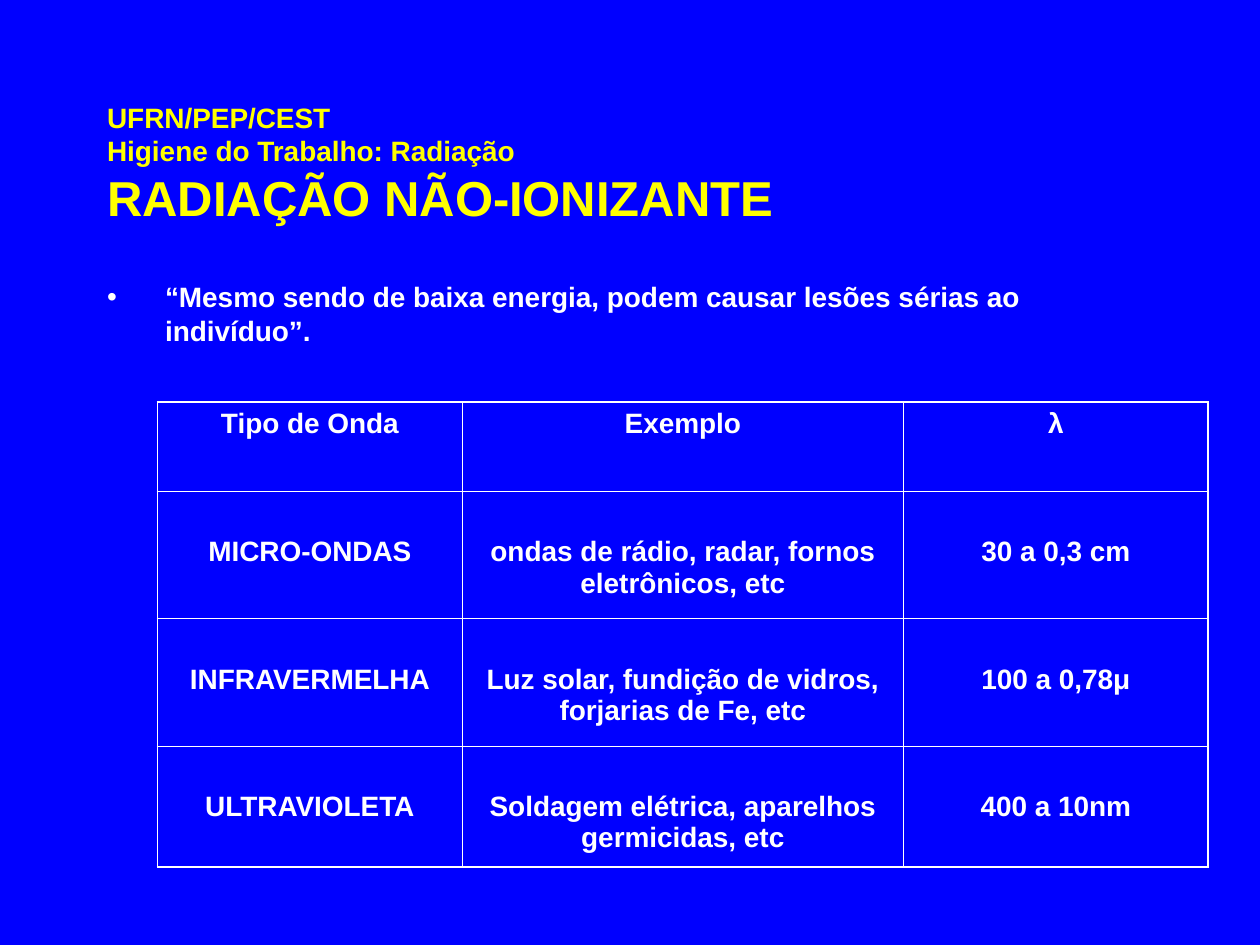
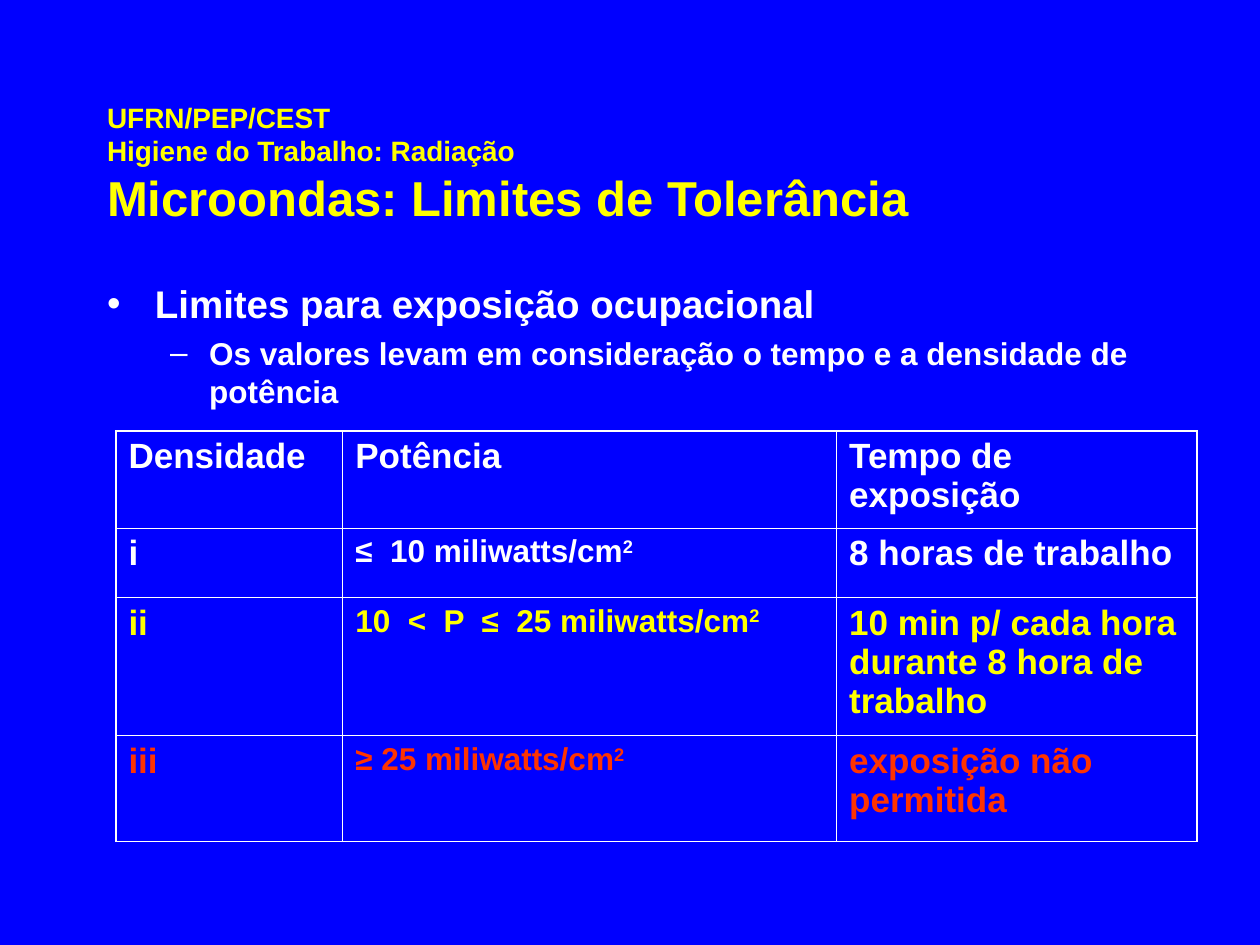
from lxml import etree
from pptx import Presentation
from pptx.dml.color import RGBColor
from pptx.enum.text import MSO_ANCHOR, MSO_AUTO_SIZE, PP_ALIGN
from pptx.oxml.ns import qn
from pptx.util import Inches, Pt

LEFT, CENTER = PP_ALIGN.LEFT, PP_ALIGN.CENTER
MIDDLE, TOP = MSO_ANCHOR.MIDDLE, MSO_ANCHOR.TOP
NO_AUTOFIT = MSO_AUTO_SIZE.NONE

COLORS = {"background": "0000FF", "title": "FFFF00", "text": "FFFFFF",
          "caution": "FFFF00", "forbidden": "FF3300"}
FONT = "Arial"
TITLE_BOX = (0.75, 0.67, 8.5, 1.25)
BODY_BOX = (0.75, 2.17, 8.5, 4.5)
COURSE_LINES = ["UFRN/PEP/CEST", "Higiene do Trabalho: Radiação"]
OUTER_LINE, INNER_LINE = 1.08, 0.45


def style_run(run, size, color):
    """Give a run the deck's bold font with a size and a colour."""
    run.font.name = FONT
    run.font.size = Pt(size)
    run.font.bold = True
    run.font.color.rgb = RGBColor.from_string(COLORS[color])


def place(shape, box):
    """Move a shape to a box given in inches."""
    shape.left, shape.top, shape.width, shape.height = map(Inches, box)


def prepare_template(presentation):
    """Set the shared background and placeholder boxes and return the layout."""
    fill = presentation.slide_master.background.fill
    fill.solid()
    fill.fore_color.rgb = RGBColor.from_string(COLORS["background"])
    layout = presentation.slide_layouts[1]
    for placeholder, box in zip(layout.placeholders, (TITLE_BOX, BODY_BOX)):
        place(placeholder, box)
    return layout


def fill_title(slide, heading):
    """Write the course lines and the slide heading in the title."""
    title = slide.shapes.title
    place(title, TITLE_BOX)
    frame = title.text_frame
    frame.auto_size = NO_AUTOFIT
    frame.vertical_anchor = MIDDLE
    frame.text = "\v".join(COURSE_LINES + [heading])
    paragraph = frame.paragraphs[0]
    paragraph.alignment = LEFT
    for line_break in paragraph._p.findall(qn("a:br")):
        etree.SubElement(line_break, qn("a:rPr"), sz="1600")
    for run in paragraph.runs:
        style_run(run, 28 if run.text == heading else 16, "title")


def set_bullet(paragraph, character, margin, hanging):
    """Add a white bullet with a hanging indent in inches."""
    properties = paragraph._p.get_or_add_pPr()
    properties.set("marL", str(Inches(margin)))
    properties.set("indent", str(-Inches(hanging)))
    color = etree.SubElement(properties, qn("a:buClr"))
    etree.SubElement(color, qn("a:srgbClr"), val=COLORS["text"])
    etree.SubElement(properties, qn("a:buFont"), typeface=FONT)
    etree.SubElement(properties, qn("a:buChar"), char=character)


def fill_body(slide, items):
    """Write bullet items of text, level, bullet, margin, hanging, size, space."""
    body = slide.placeholders[1]
    place(body, BODY_BOX)
    frame = body.text_frame
    frame.auto_size = NO_AUTOFIT
    frame.text = "\n".join(item[0] for item in items)
    for paragraph, item in zip(frame.paragraphs, items):
        _, level, bullet, margin, hanging, size, space = item
        paragraph.level = level
        set_bullet(paragraph, bullet, margin, hanging)
        paragraph.space_before = Pt(space)
        style_run(paragraph.runs[0], size, "text")


def set_borders(cell, widths):
    """Draw the left, right, top and bottom cell borders in points."""
    properties = cell._tc.get_or_add_tcPr()
    for position, (side, width) in enumerate(zip("LRTB", widths)):
        line = etree.Element(qn(f"a:ln{side}"), w=str(Pt(width)))
        fill = etree.SubElement(line, qn("a:solidFill"))
        etree.SubElement(fill, qn("a:srgbClr"), val=COLORS["text"])
        properties.insert(position, line)


def write_cell(cell, text, size, color, alignment, top_margin):
    """Write cell text, raising a final ² as superscript."""
    cell.margin_left = cell.margin_right = Inches(0.1)
    cell.margin_top, cell.margin_bottom = Inches(top_margin), Inches(0.05)
    cell.vertical_anchor = TOP
    cell.fill.background()
    base = text.removesuffix("²")
    cell.text_frame.text = base
    paragraph = cell.text_frame.paragraphs[0]
    paragraph.alignment = alignment
    if base != text:
        exponent = paragraph.add_run()
        exponent.text = "2"
        exponent._r.get_or_add_rPr().set("baseline", "30000")
    for run in paragraph.runs:
        style_run(run, size, color)


def add_grid(slide, origin, widths, heights, rows, style):
    """Add a ruled table; style gives the text settings of a row and column."""
    box = map(Inches, (*origin, sum(widths), sum(heights)))
    table = slide.shapes.add_table(len(rows), len(widths), *box).table
    table.first_row = table.horz_banding = False
    for column, width in zip(table.columns, widths):
        column.width = Inches(width)
    last_row, last_column = len(rows) - 1, len(widths) - 1
    for i, texts in enumerate(rows):
        table.rows[i].height = Inches(heights[i])
        for j, text in enumerate(texts):
            cell = table.cell(i, j)
            write_cell(cell, text, *style(i, j))
            edges = (j == 0, j == last_column, i == 0, i == last_row)
            set_borders(cell, [OUTER_LINE if edge else INNER_LINE for edge in edges])


def wave_style(row, column):
    """Centre the wave table and lower the text below its header."""
    return 16, "text", CENTER, 0.36 if row else 0.05


def limit_style(row, column):
    """Colour the limit rows by severity and shrink the power values."""
    color = ("text", "text", "caution", "forbidden")[row]
    return 18 if row and column == 1 else 20, color, LEFT, 0.05


def add_non_ionizing_slide(presentation, layout):
    """Build the slide on the kinds of non-ionizing radiation."""
    slide = presentation.slides.add_slide(layout)
    fill_title(slide, "RADIAÇÃO NÃO-IONIZANTE")
    fill_body(slide, [
        ("“Mesmo sendo de baixa energia, podem causar lesões sérias ao indivíduo”.",
         0, "•", 0.46, 0.46, 16, 0)])
    rows = [
        ("Tipo de Onda", "Exemplo", "λ"),
        ("MICRO-ONDAS", "ondas de rádio, radar, fornos eletrônicos, etc", "30 a 0,3 cm"),
        ("INFRAVERMELHA", "Luz solar, fundição de vidros, forjarias de Fe, etc",
         "100 a 0,78μ"),
        ("ULTRAVIOLETA", "Soldagem elétrica, aparelhos germicidas, etc", "400 a 10nm")]
    add_grid(slide, (1.25, 3.19), (2.42, 3.5, 2.42), (0.71, 1.01, 1.01, 0.96),
             rows, wave_style)


def add_microwave_slide(presentation, layout):
    """Build the slide on the tolerance limits for microwaves."""
    slide = presentation.slides.add_slide(layout)
    fill_title(slide, "Microondas: Limites de Tolerância")
    fill_body(slide, [
        ("Limites para exposição ocupacional", 0, "•", 0.38, 0.38, 22, 0),
        ("Os valores levam em consideração o tempo e a densidade de potência",
         1, "–", 0.81, 0.31, 18, 4.5)])
    rows = [
        ("Densidade", "Potência", "Tempo de exposição"),
        ("i", "≤  10 miliwatts/cm²", "8 horas de trabalho"),
        ("ii", "10  <  P  ≤  25 miliwatts/cm²",
         "10 min p/ cada hora durante 8 hora de trabalho"),
        ("iii", "≥ 25 miliwatts/cm²", "exposição não permitida")]
    add_grid(slide, (0.92, 3.42), (1.8, 3.92, 2.86), (0.77, 0.55, 1.1, 0.84),
             rows, limit_style)


def main():
    """Build and save the presentation."""
    presentation = Presentation()
    presentation.slide_width, presentation.slide_height = Inches(10), Inches(7.5)
    layout = prepare_template(presentation)
    add_non_ionizing_slide(presentation, layout)
    add_microwave_slide(presentation, layout)
    presentation.save("out.pptx")


if __name__ == "__main__":
    main()
